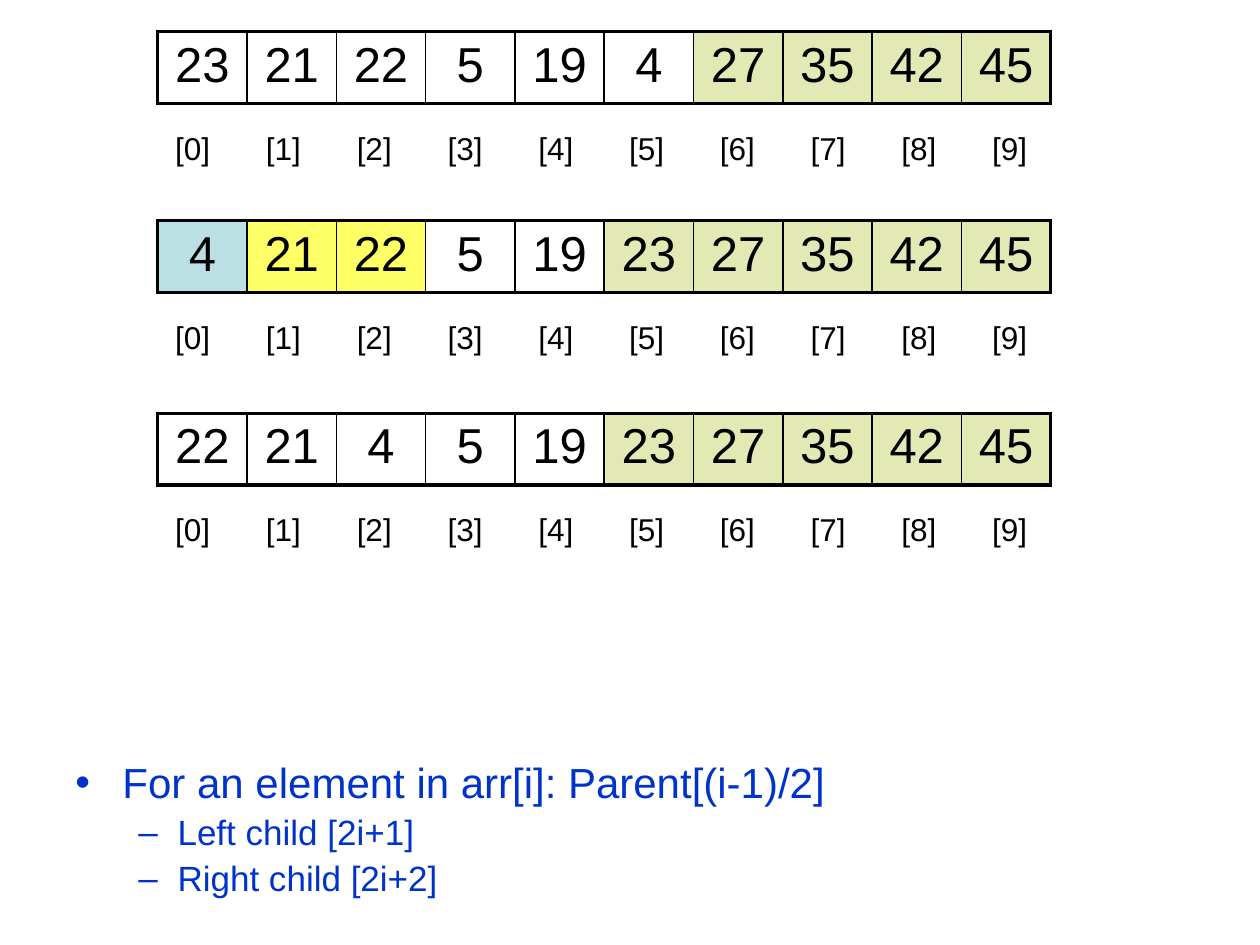
from lxml.etree import SubElement
from pptx import Presentation
from pptx.dml.color import RGBColor
from pptx.enum.text import MSO_ANCHOR as Anchor, PP_ALIGN as Align
from pptx.oxml.ns import qn
from pptx.util import Cm, Pt

BLACK, BLUE = "000000", "0033CC"
SORTED, ROOT, CHILD = "E2E9B5", "BBE0E3", "FFFF66"
THIN, THICK = 1, 2.25
ARRAYS = [
    (0.64, [23, 21, 22, 5, 19, 4, 27, 35, 42, 45], [None] * 6 + [SORTED] * 4),
    (4.45, [4, 21, 22, 5, 19, 23, 27, 35, 42, 45],
     [ROOT, CHILD, CHILD, None, None] + [SORTED] * 5),
    (8.33, [22, 21, 4, 5, 19, 23, 27, 35, 42, 45], [None] * 5 + [SORTED] * 5),
]


def rgb(color):
    return RGBColor.from_string(color)


def write(p, text, size, color=BLACK, align=Align.LEFT, before=0, spacing=1.0):
    p.alignment = align
    p.space_before = Pt(before)
    p.line_spacing = spacing
    r = p.add_run()
    r.text = text
    r.font.name = "Arial"
    r.font.size = Pt(size)
    r.font.color.rgb = rgb(color)


def set_border(cell, side, width):
    ln = SubElement(cell._tc.get_or_add_tcPr(), qn(f"a:ln{side}"), w=str(Pt(width)))
    if width:
        fill = SubElement(ln, qn("a:solidFill"))
        SubElement(fill, qn("a:srgbClr"), val=BLACK)
    else:
        SubElement(ln, qn("a:noFill"))


def add_row(slide, left, top, col_width, height, texts, size, fills, inner, outer, anchor):
    count = len(texts)
    frame = slide.shapes.add_table(1, count, Cm(left), Cm(top),
                                   Cm(col_width * count), Cm(height))
    table = frame.table
    table.first_row = table.horz_banding = False
    for i, (text, fill) in enumerate(zip(texts, fills)):
        table.columns[i].width = Cm(col_width)
        cell = table.cell(0, i)
        cell.vertical_anchor = anchor
        set_border(cell, "L", inner if i else outer)
        set_border(cell, "R", inner if i < count - 1 else outer)
        set_border(cell, "T", outer)
        set_border(cell, "B", outer)
        if fill:
            cell.fill.solid()
            cell.fill.fore_color.rgb = rgb(fill)
        else:
            cell.fill.background()
        write(cell.text_frame.paragraphs[0], text, size, align=Align.CENTER)


def add_array(slide, top, values, fills):
    add_row(slide, 3.18, top, 1.8, 1.45, [str(v) for v in values], 28, fills,
            THIN, THICK, Anchor.TOP)
    indexes = [f"[{i}]" for i in range(len(values))]
    add_row(slide, 2.97, top + 1.86, 1.83, 1.02, indexes, 18, [None] * len(values),
            0, 0, Anchor.MIDDLE)


def set_bullet(p, char, margin, hang, level):
    p.level = level
    pPr = p._p.get_or_add_pPr()
    pPr.set("marL", str(Cm(margin)))
    pPr.set("indent", str(-Cm(hang)))
    SubElement(pPr, qn("a:buFont"), typeface="Arial")
    SubElement(pPr, qn("a:buChar"), char=char)


def add_rules(slide):
    tf = slide.shapes.add_textbox(Cm(1.27), Cm(15.24), Cm(22.86), Cm(3.18)).text_frame
    tf.word_wrap = True
    p = tf.paragraphs[0]
    set_bullet(p, "•", 0.95, 0.95, 0)
    write(p, "For an element in arr[i]: Parent[(i-1)/2]", 24, BLUE, spacing=0.9)
    for text in ("Left child [2i+1]", "Right child [2i+2]"):
        p = tf.add_paragraph()
        set_bullet(p, "–", 2.06, 0.79, 1)
        write(p, text, 20, BLUE, before=4.6, spacing=0.9)


def main():
    prs = Presentation()
    prs.slide_width, prs.slide_height = Cm(25.4), Cm(19.05)
    slide = prs.slides.add_slide(prs.slide_layouts[6])
    for top, values, fills in ARRAYS:
        add_array(slide, top, values, fills)
    add_rules(slide)
    prs.save("out.pptx")


if __name__ == "__main__":
    main()
